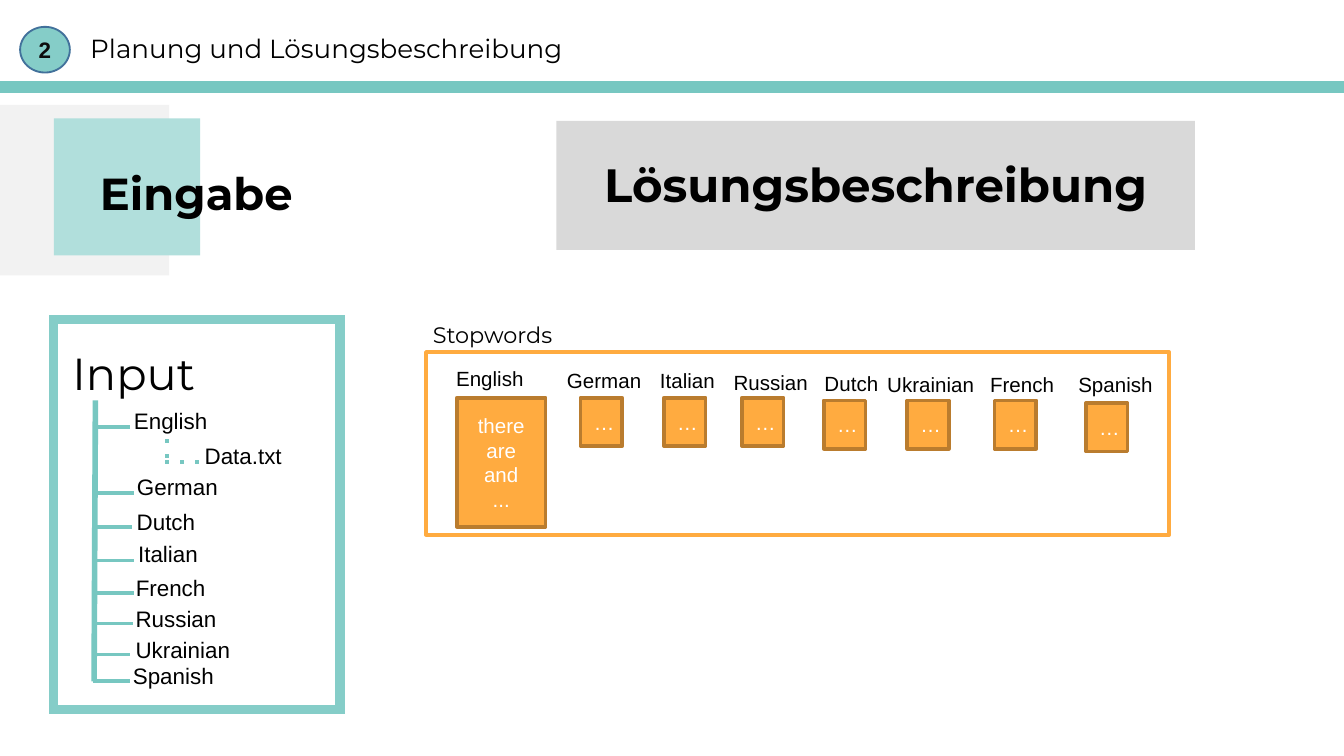
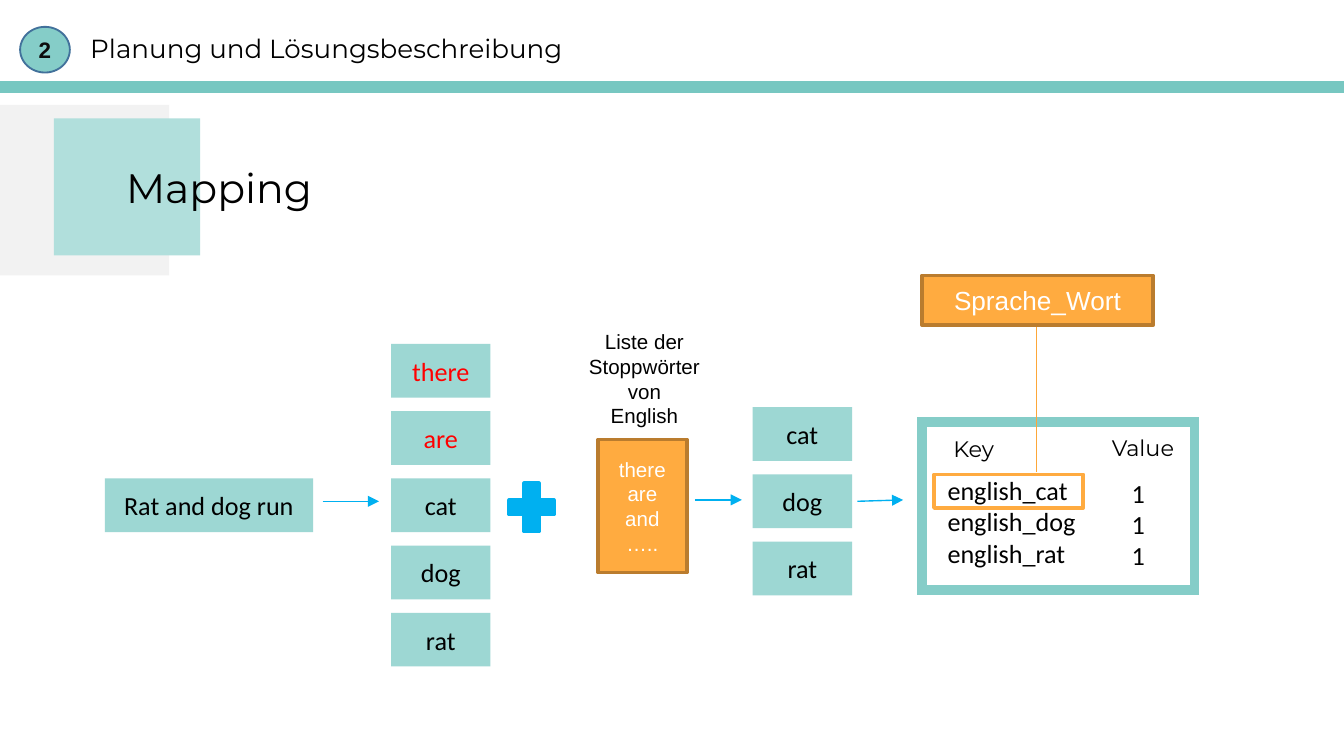
from lxml.etree import SubElement
from pptx import Presentation
from pptx.dml.color import RGBColor
from pptx.enum.shapes import MSO_CONNECTOR, MSO_SHAPE
from pptx.enum.text import MSO_ANCHOR, MSO_AUTO_SIZE, PP_ALIGN
from pptx.oxml.ns import qn
from pptx.util import Inches, Pt

COLORS = {
    "white": "FFFFFF", "black": "000000", "ink": "0C0C0C", "red": "FF0000",
    "gray": "D9D9D9", "pale": "F2F2F2", "mint": "B1DFDC", "teal": "77C7C1",
    "frame": "85CDC8", "word": "9DD7D3", "navy": "42719B", "blue": "00B0F0",
    "orange": "FFAB40", "brown": "BA7C2E", "link": "FDA739",
}
TREE = [
    ("English", 0.85, 2.99, 0.84, 0.69, 3.18),
    ("German", 0.9, 3.48, 0.84, 0.72, 3.67),
    ("Dutch", 0.93, 3.74, 0.61, 0.7, 3.92),
    ("Italian", 0.94, 3.98, 0.62, 0.72, 4.17),
    ("French", 0.85, 4.23, 0.84, 0.72, 4.41),
    ("Russian", 0.89, 4.46, 0.84, 0.71, 4.64),
    ("Ukrainian", 0.9, 4.69, 0.92, 0.69, 4.87),
    ("Spanish", 0.83, 4.89, 0.92, 0.69, 5.07),
]
STOPS = [
    ("German", 3.94, 2.7, 1.11, 4.32, 2.96),
    ("Italian", 4.8, 2.7, 0.63, 4.94, 2.96),
    ("Russian", 5.37, 2.71, 0.73, 5.52, 2.96),
    ("Dutch", 5.78, 2.72, 1.11, 6.13, 2.98),
    ("Ukrainian", 6.37, 2.73, 1.11, 6.75, 2.98),
    ("French", 7.05, 2.73, 1.11, 7.4, 2.98),
    ("Spanish", 7.85, 2.73, 0.9, 8.08, 3),
]


def color(name):
    return RGBColor.from_string(COLORS[name])


def write(shape, text, size, font="Arial", ink="black", bold=False,
          align=PP_ALIGN.CENTER, anchor=MSO_ANCHOR.TOP, inset=(0.07, 0.04)):
    frame = shape.text_frame
    frame.word_wrap = True
    frame.auto_size = MSO_AUTO_SIZE.NONE
    frame.vertical_anchor = anchor
    frame.margin_left = frame.margin_right = Inches(inset[0])
    frame.margin_top = frame.margin_bottom = Inches(inset[1])
    frame.text = text
    for line in frame.paragraphs:
        line.alignment = align
        for run in line.runs:
            run.font.size = Pt(size)
            run.font.name = font
            run.font.bold = bold
            run.font.color.rgb = color(ink)
    for mark in shape.element.iter(qn("a:br")):
        SubElement(mark, qn("a:rPr"), sz=str(size * 100))


def label(shapes, at, text, size, **style):
    box = shapes.add_textbox(*map(Inches, at))
    write(box, text, size, **style)


def block(shapes, at, fill=None, edge=None, width=2, kind=MSO_SHAPE.RECTANGLE):
    shape = shapes.add_shape(kind, *map(Inches, at))
    shape.shadow.inherit = False
    if fill:
        shape.fill.solid()
        shape.fill.fore_color.rgb = color(fill)
    else:
        shape.fill.background()
    if edge:
        shape.line.color.rgb = color(edge)
        shape.line.width = Pt(width)
    else:
        shape.line.fill.background()
    return shape


def panel(shapes, at):
    shape = block(shapes, at, "white", "frame", 5)
    SubElement(shape.element.spPr.find(qn("a:ln")), qn("a:miter"), lim="800000")


def rule(shapes, start, end, ink="teal", width=2, dots=False, arrow=False):
    line = shapes.add_connector(MSO_CONNECTOR.STRAIGHT, *map(Inches, start + end))
    line.line.color.rgb = color(ink)
    line.line.width = Pt(width)
    stroke = line.element.spPr.find(qn("a:ln"))
    if dots:
        SubElement(stroke, qn("a:prstDash"), val="dot")
    if arrow:
        SubElement(stroke, qn("a:tailEnd"), type="triangle")
    SubElement(line.element.spPr, qn("a:effectLst"))


def arrow(shapes, start, end):
    rule(shapes, start, end, "blue", 0.75, arrow=True)


def card(shapes, at, text, size=11):
    shape = block(shapes, at, "orange", "brown")
    write(shape, text, size, ink="white", anchor=MSO_ANCHOR.MIDDLE, inset=(0.1, 0.05))


def word(shapes, x, y, text, ink="black", width=0.74):
    shape = block(shapes, (x, y, width, 0.4), "word")
    write(shape, text, 14, "Calibri", ink, anchor=MSO_ANCHOR.MIDDLE)


def base(deck, title, at, size, bold=False):
    slide = deck.slides.add_slide(deck.slide_layouts[5])
    shapes = slide.shapes
    block(shapes, (0, 0.78, 1.26, 1.27), "pale")
    block(shapes, (0.4, 0.88, 1.09, 1.02), "mint")
    rule(shapes, (0, 0.65), (10, 0.65), width=6.5)
    badge = block(shapes, (0.15, 0.2, 0.37, 0.34), "frame", "navy", 1, MSO_SHAPE.OVAL)
    write(badge, "2", 12, ink="ink", bold=True, anchor=MSO_ANCHOR.MIDDLE)
    label(shapes, (0.37, 0.2, 4.12, 0.6), "Planung und Lösungsbeschreibung", 14,
          font="Montserrat")
    head = shapes.title
    head.left, head.top, head.width, head.height = map(Inches, at)
    write(head, title, size, "Montserrat", bold=bold)
    head.element.getparent().append(head.element)
    return shapes


def tree(shapes):
    group = shapes.add_group_shape().shapes
    panel(group, (0.4, 2.38, 2.13, 2.9))
    label(group, (0.44, 2.53, 1.11, 0.48), "Input", 24, font="Montserrat")
    rule(group, (0.71, 2.98), (0.7, 5.07), width=3)
    for name, left, top, width, x, y in TREE:
        rule(group, (x, y), (x + 0.28, y))
        label(group, (left, top, width, 0.28), name, 12)
    rule(group, (1.24, 3.27), (1.24, 3.44), dots=True)
    rule(group, (1.23, 3.44), (1.51, 3.44), dots=True)
    label(group, (1.27, 3.25, 1.08, 0.28), "Data.txt", 12)


def stops(shapes):
    block(shapes, (3.17, 2.62, 5.53, 1.36), edge="orange")
    label(shapes, (2.94, 2.35, 1.45, 0.27), "Stopwords", 12, font="Montserrat")
    label(shapes, (2.92, 2.68, 1.45, 0.27), "English", 11)
    card(shapes, (3.4, 2.96, 0.66, 0.96), "there\nare\nand\v...")
    for name, left, top, width, x, y in STOPS:
        card(shapes, (x, y, 0.31, 0.36), "…")
        label(shapes, (left, top, width, 0.27), name, 11)


def pairs(shapes):
    group = shapes.add_group_shape().shapes
    panel(group, (6.86, 3.14, 2.03, 1.25))
    label(group, (6.95, 3.2, 0.59, 0.12), "Key", 12, font="Montserrat")
    label(group, (8.12, 3.19, 0.77, 0.12), "Value", 12, font="Montserrat")
    keys = "english_cat\nenglish_dog\nenglish_rat"
    for at, text in [((6.98, 3.49, 1.48, 0.61), keys),
                     ((8.35, 3.51, 0.24, 0.67), "1\n1\n1")]:
        label(group, at, text, 14, font="Calibri", align=PP_ALIGN.LEFT)
    rule(shapes, (7.71, 3.51), (7.71, 2.28), "link", 0.75)
    card(shapes, (6.86, 2.05, 1.72, 0.37), "Sprache_Wort", 14)
    block(shapes, (6.95, 3.53, 1.11, 0.25), edge="orange")


def entry(deck):
    shapes = base(deck, "Eingabe", (0.32, 1.19, 2.28, 0.53), 24, True)
    tree(shapes)
    stops(shapes)
    block(shapes, (4.14, 0.9, 4.75, 0.96), "gray")
    label(shapes, (4.14, 1.12, 4.75, 0.6), "Lösungsbeschreibung", 25,
          font="Montserrat", bold=True)


def mapping(deck):
    shapes = base(deck, "Mapping", (0.46, 1.17, 2.34, 0.53), 22)
    word(shapes, 0.78, 3.56, "Rat and dog run", width=1.55)
    arrow(shapes, (2.4, 3.73), (2.82, 3.73))
    for row, text in enumerate(["there", "are", "cat", "dog", "rat"]):
        word(shapes, 2.91, 2.56 + 0.5 * row, text, "red" if row < 2 else "black")
    plus = block(shapes, (3.73, 3.53, 0.45, 0.49), "blue", "blue", kind=MSO_SHAPE.MATH_PLUS)
    plus.adjustments[0] = 0.24
    label(shapes, (4.19, 2.41, 1.21, 0.87), "Liste der Stoppwörter von\vEnglish", 11)
    card(shapes, (4.45, 3.27, 0.66, 0.99), "there\nare\nand\v…..")
    arrow(shapes, (5.17, 3.72), (5.52, 3.72))
    for row, text in enumerate(["cat", "dog", "rat"]):
        word(shapes, 5.6, 3.03 + 0.5 * row, text)
    arrow(shapes, (6.38, 3.73), (6.72, 3.72))
    pairs(shapes)


def main():
    deck = Presentation()
    deck.slide_width = Inches(10)
    deck.slide_height = deck.slide_width * 9 // 16
    entry(deck)
    mapping(deck)
    deck.save("out.pptx")


if __name__ == "__main__":
    main()
